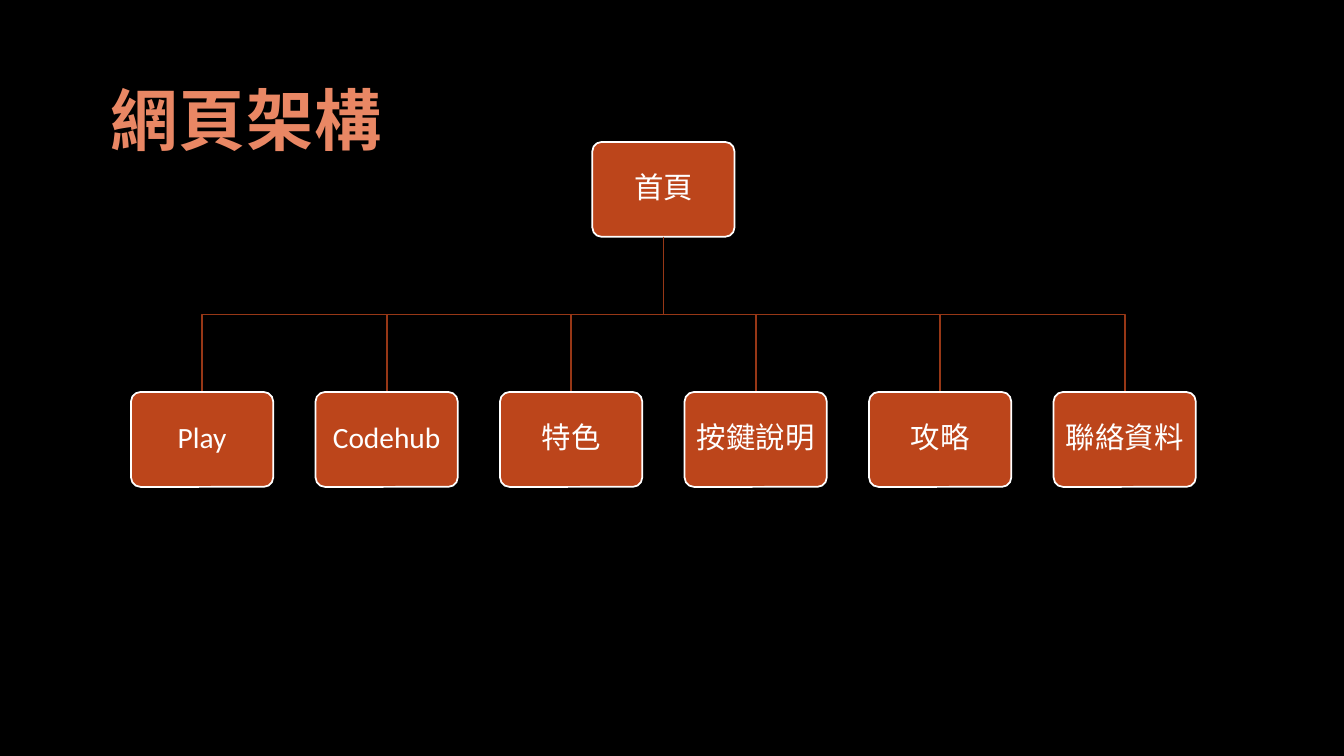
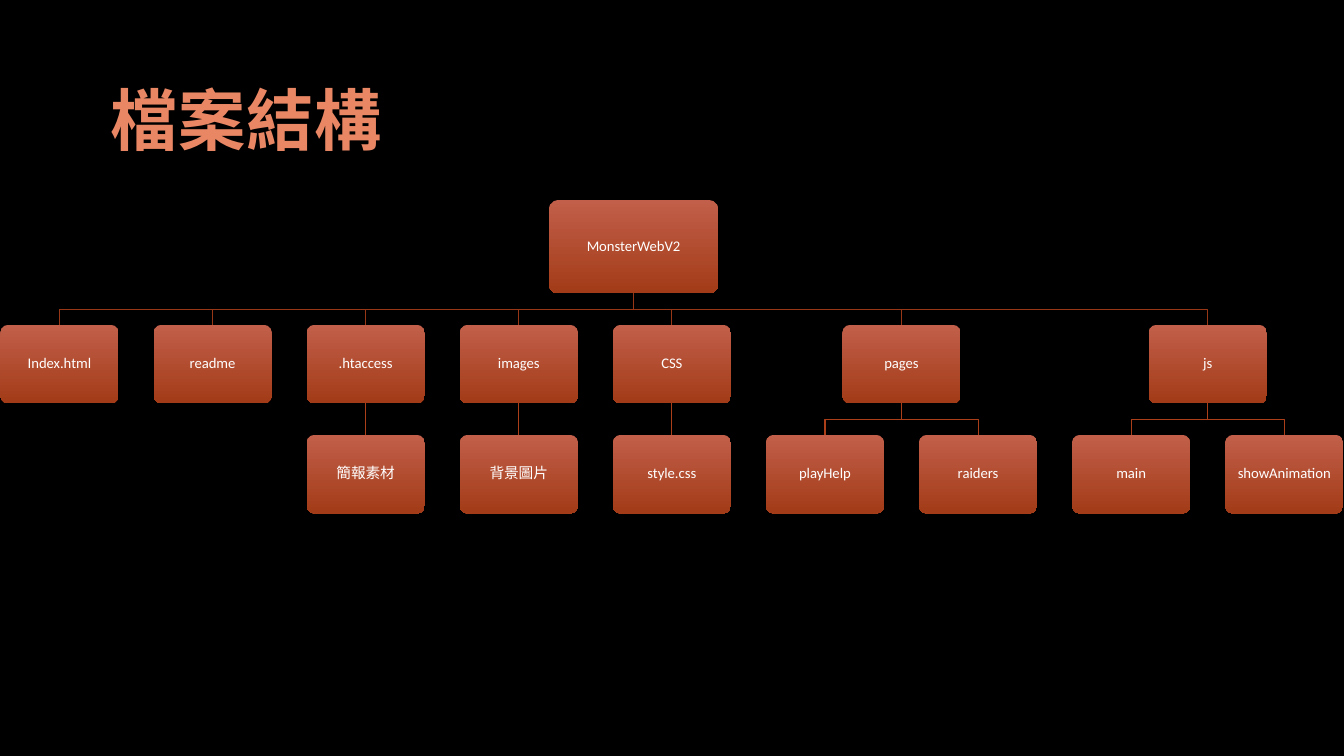
"""Build two slides of tree charts under a shared title style."""
from dataclasses import dataclass

from lxml.etree import SubElement
from pptx import Presentation
from pptx.dml.color import RGBColor
from pptx.enum.shapes import MSO_CONNECTOR, MSO_SHAPE
from pptx.enum.text import MSO_ANCHOR, MSO_AUTO_SIZE, PP_ALIGN
from pptx.oxml import parse_xml
from pptx.oxml.ns import nsdecls, qn
from pptx.slide import Slide
from pptx.text.text import TextFrame
from pptx.util import Pt

FONT = "Calibri"
HUES = {
    "back": "000000",
    "title": "E98764",
    "rust": "BC451B",
    "white": "FFFFFF",
    "line": "973716",
    "twig": "AB3F19",
    "top": "C25F4A",
    "base": "A23B17",
}


@dataclass(frozen=True)
class Node:
    name: str
    kids: tuple["Node", ...] = ()


@dataclass(frozen=True)
class Style:
    left: float
    step: float
    top: float
    root: tuple[float, float]
    box: tuple[float, float]
    gap: float
    size: float
    inset: float
    fill: tuple[str, ...]
    edge: float
    lines: tuple[str, ...]
    width: float


@dataclass(frozen=True)
class Page:
    title: str
    tree: Node
    style: Style


PAGES = (
    Page(
        "網頁架構",
        Node("首頁", (
            Node("Play"), Node("Codehub"), Node("特色"),
            Node("按鍵說明"), Node("攻略"), Node("聯絡資料"),
        )),
        Style(144.4, 131.8, 101.4, (101.6, 67.8), (101.6, 67.8), 110.8,
              21, 6.4, ("rust",), 1.25, ("line",), 1.25),
    ),
    Page(
        "檔案結構",
        Node("MonsterWebV2", (
            Node("Index.html"),
            Node("readme"),
            Node(".htaccess", (Node("簡報素材"),)),
            Node("images", (Node("背景圖片"),)),
            Node("CSS", (Node("style.css"),)),
            Node("pages", (Node("playHelp"), Node("raiders"))),
            Node("js", (Node("main"), Node("showAnimation"))),
        )),
        Style(42.5, 109.36, 142.8, (121, 66.8), (84.4, 56.2), 22.4,
              10.5, 3.6, ("top", "base"), 0, ("line", "twig"), 0.75),
    ),
)


def hue(name: str) -> RGBColor:
    """Look up a named colour."""
    return RGBColor.from_string(HUES[name])


def write(frame: TextFrame, text: str, size: float, tint: str):
    """Add one run to the first paragraph and return it."""
    run = frame.paragraphs[0].add_run()
    run.text = text
    run.font.name = FONT
    run.font.size = Pt(size)
    run.font.color.rgb = hue(tint)
    return run


def head(slide: Slide, text: str) -> None:
    """Place and format the slide title."""
    shape = slide.shapes.title
    shape.left, shape.top = Pt(72), Pt(52.6)
    shape.width, shape.height = Pt(210), Pt(65.5)
    frame = shape.text_frame
    frame.word_wrap = False
    frame.auto_size = MSO_AUTO_SIZE.SHAPE_TO_FIT_TEXT
    frame.vertical_anchor = MSO_ANCHOR.TOP
    frame.paragraphs[0].alignment = PP_ALIGN.LEFT
    run = write(frame, text, 48, "title")
    run.font.bold = True
    props = run.font._element
    props.set("spc", "50")
    props.insert(0, parse_xml(
        f'<a:ln {nsdecls("a")} w="{Pt(0.75)}"><a:solidFill>'
        f'<a:srgbClr val="{HUES["rust"]}"/></a:solidFill></a:ln>'))
    props.insert(2, parse_xml(
        f'<a:effectLst {nsdecls("a")}><a:outerShdw blurRad="{Pt(1)}" '
        f'dist="{Pt(2)}" dir="2700000"><a:srgbClr val="{HUES["rust"]}"/>'
        '</a:outerShdw></a:effectLst>'))


def box(slide: Slide, text: str, mid: float, top: float,
        dims: tuple[float, float], style: Style) -> None:
    """Draw one labelled box centred on mid."""
    wide, high = dims
    shape = slide.shapes.add_shape(
        MSO_SHAPE.ROUNDED_RECTANGLE,
        Pt(mid - wide / 2), Pt(top), Pt(wide), Pt(high))
    shape.adjustments[0] = 0.1
    shape.shadow.inherit = False
    if len(style.fill) == 1:
        shape.fill.solid()
        shape.fill.fore_color.rgb = hue(style.fill[0])
    else:
        shape.fill.gradient()
        shape.fill.gradient_angle = 270
        for stop, tint in zip(shape.fill.gradient_stops, style.fill):
            stop.color.rgb = hue(tint)
    if style.edge:
        shape.line.color.rgb = hue("white")
        shape.line.width = Pt(style.edge)
    else:
        shape.line.fill.background()
    frame = shape.text_frame
    frame.word_wrap = True
    frame.vertical_anchor = MSO_ANCHOR.MIDDLE
    frame.margin_left = frame.margin_right = Pt(style.inset)
    frame.margin_top = frame.margin_bottom = Pt(style.inset)
    para = frame.paragraphs[0]
    para.alignment = PP_ALIGN.CENTER
    para.line_spacing = 0.9
    write(frame, text, style.size, "white")


def link(slide: Slide, start: float, end: float, top: float,
         style: Style, tint: str) -> None:
    """Join a parent to a child across the gap."""
    low, bend = top + style.gap, top + style.gap / 2
    if abs(start - end) < 0.01:
        line = slide.shapes.add_connector(
            MSO_CONNECTOR.STRAIGHT, Pt(start), Pt(top), Pt(end), Pt(low))
        SubElement(line._element.spPr, qn("a:effectLst"))
    else:
        pen = slide.shapes.build_freeform(Pt(start), Pt(top))
        spots = ((start, bend), (end, bend), (end, low))
        pen.add_line_segments([(Pt(x), Pt(y)) for x, y in spots], close=False)
        line = pen.convert_to_shape()
        line.fill.background()
        line.shadow.inherit = False
    line.line.color.rgb = hue(tint)
    line.line.width = Pt(style.width)


def leaves(node: Node) -> int:
    """Count the leaf slots that a node spans."""
    return sum(map(leaves, node.kids)) or 1


def slots(node: Node, first: int) -> list[int]:
    """Give the first leaf slot of each child."""
    marks = []
    for kid in node.kids:
        marks.append(first)
        first += leaves(kid)
    return marks


def centre(node: Node, first: int, style: Style) -> float:
    """Find the middle of a node between its outer children."""
    if not node.kids:
        return style.left + first * style.step
    marks = slots(node, first)
    return (centre(node.kids[0], marks[0], style)
            + centre(node.kids[-1], marks[-1], style)) / 2


def grow(slide: Slide, node: Node, style: Style, top: float,
         first: int = 0, depth: int = 0) -> None:
    """Draw a node, then its links and children."""
    dims = style.box if depth else style.root
    mid = centre(node, first, style)
    box(slide, node.name, mid, top, dims, style)
    low = top + dims[1]
    for kid, mark in zip(node.kids, slots(node, first)):
        link(slide, mid, centre(kid, mark, style), low, style,
             style.lines[depth])
        grow(slide, kid, style, low + style.gap, mark, depth + 1)


def main() -> None:
    """Build and save the deck."""
    deck = Presentation()
    deck.slide_width, deck.slide_height = Pt(960), Pt(540)
    back = deck.slide_master.background.fill
    back.solid()
    back.fore_color.rgb = hue("back")
    for page in PAGES:
        slide = deck.slides.add_slide(deck.slide_layouts[5])
        head(slide, page.title)
        grow(slide, page.tree, page.style, page.style.top)
    deck.save("out.pptx")


if __name__ == "__main__":
    main()
